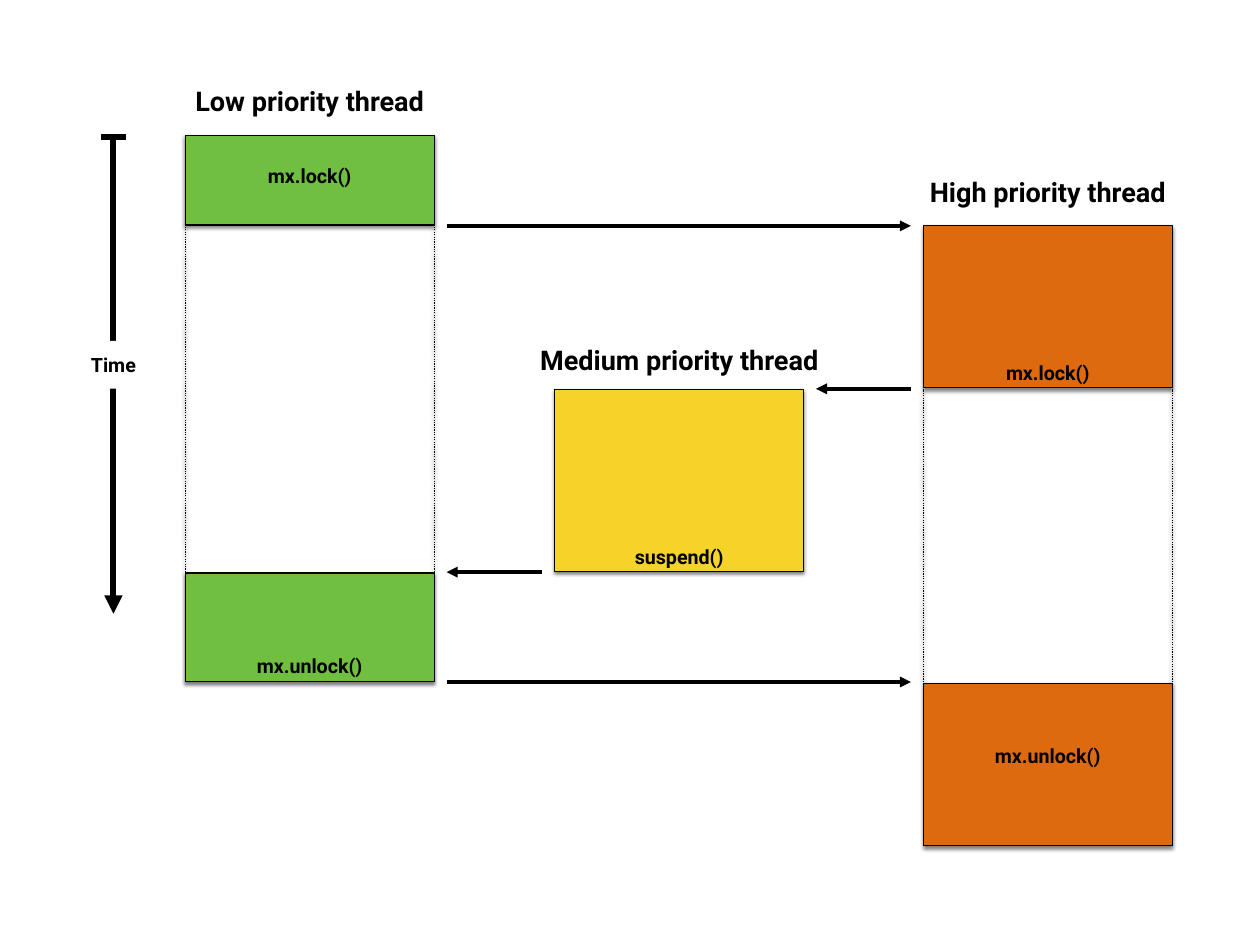
import pptx
import pptx.dml.color
import pptx.enum.dml
import pptx.enum.shapes
import pptx.enum.text
import pptx.oxml
import pptx.oxml.ns
import pptx.util
from pptx.util import Inches

COLORS = {"green": "70BF41", "orange": "DE6A10", "yellow": "F5D328",
          "black": "000000", "white": "FFFFFF"}
FONT = "Roboto"
LANE_W = 2.81
GAP = 0.14  # space between a lane and its arrows

# Threads: left edge, fill, title, title top, title width
LANES = {
    "low": (2.09, "green", "Low priority thread", 0.9, 3.09),
    "medium": (6.26, "yellow", "Medium priority thread", 3.83, 3.69),
    "high": (10.42, "orange", "High priority thread", 1.93, 3.09),
}
# Running periods: lane, top, height, call, call top
PERIODS = [
    ("medium", 4.4, 2.05, "suspend()", 6.09),
    ("high", 2.55, 1.83, "mx.lock()", 4.02),
    ("low", 6.47, 1.23, "mx.unlock()", 7.33),
    ("low", 1.53, 1.01, "mx.lock()", 1.79),
    ("high", 7.72, 1.83, "mx.unlock()", 8.34),
]
# Waiting periods: lane, top, bottom
WAITS = [("low", 2.54, 6.46), ("high", 4.39, 7.7)]
# Context switches: from lane, to lane, time
SWITCHES = [("low", "high", 2.55), ("low", "high", 7.7),
            ("medium", "low", 6.46), ("high", "medium", 4.39)]
# Time axis: centre, top, bottom, half width of the start bar
AXIS_X, AXIS_TOP, AXIS_BOTTOM, BAR = 1.28, 1.55, 6.93, 0.145

prs = pptx.Presentation()
prs.slide_width, prs.slide_height = Inches(14.22), Inches(10.67)
shapes = prs.slides.add_slide(prs.slide_layouts[6]).shapes


def rgb(name):
    return pptx.dml.color.RGBColor.from_string(COLORS[name])


def set_effects(sp, shadow):
    inner = ('<a:outerShdw blurRad="38100" dist="25400" dir="5400000" rotWithShape="0">'
             f'<a:srgbClr val="{COLORS["black"]}"><a:alpha val="50000"/></a:srgbClr>'
             '</a:outerShdw>') if shadow else ""
    ns = pptx.oxml.ns.nsdecls("a")
    sp._element.spPr.append(pptx.oxml.parse_xml(f"<a:effectLst {ns}>{inner}</a:effectLst>"))


def add_rect(x, y, w, h, fill, outlined=True):
    sp = shapes.add_shape(pptx.enum.shapes.MSO_SHAPE.RECTANGLE,
                          Inches(x), Inches(y), Inches(w), Inches(h))
    sp.fill.solid()
    sp.fill.fore_color.rgb = rgb(fill)
    if outlined:
        sp.line.color.rgb = rgb("black")
        sp.line.width = pptx.util.Pt(1)
    else:
        sp.line.fill.background()
    set_effects(sp, outlined)


def add_line(x1, y1, x2, y2, width, arrow=False, dashed=False):
    sp = shapes.add_connector(pptx.enum.shapes.MSO_CONNECTOR.STRAIGHT,
                              Inches(x1), Inches(y1), Inches(x2), Inches(y2))
    sp.line.color.rgb = rgb("black")
    sp.line.width = pptx.util.Pt(width)
    if dashed:
        sp.line.dash_style = pptx.enum.dml.MSO_LINE.ROUND_DOT
    if arrow:
        ns = pptx.oxml.ns.nsdecls("a")
        sp.line._get_or_add_ln().append(
            pptx.oxml.parse_xml(f'<a:tailEnd {ns} type="triangle"/>'))
    set_effects(sp, dashed)


def add_text(text, center, y, w=3.09, h=0.38, size=16):
    sp = shapes.add_textbox(Inches(center - w / 2), Inches(y), Inches(w), Inches(h))
    tf = sp.text_frame
    tf.word_wrap = True
    tf.vertical_anchor = pptx.enum.text.MSO_ANCHOR.MIDDLE
    tf.margin_left = tf.margin_right = tf.margin_top = tf.margin_bottom = Inches(0.06)
    p = tf.paragraphs[0]
    p.alignment = pptx.enum.text.PP_ALIGN.CENTER
    r = p.add_run()
    r.text = text
    r.font.name, r.font.size, r.font.bold = FONT, pptx.util.Pt(size), True
    r.font.color.rgb = rgb("black")


# Running periods with their calls
for lane, top, height, call, call_top in PERIODS:
    left, fill = LANES[lane][:2]
    add_rect(left, top, LANE_W, height, fill)
    add_text(call, left + LANE_W / 2, call_top)

# Thread titles
for left, fill, title, top, width in LANES.values():
    add_text(title, left + LANE_W / 2, top, w=width, h=0.47, size=22)

# Time axis
add_line(AXIS_X, AXIS_TOP, AXIS_X, AXIS_BOTTOM, 5, arrow=True)
add_rect(AXIS_X - 0.66, 3.85, 1.33, 0.54, "white", outlined=False)
add_text("Time", AXIS_X, 3.93, w=1.33)
add_line(AXIS_X - BAR, AXIS_TOP, AXIS_X + BAR, AXIS_TOP, 5)

# Context switches
for source, target, y in SWITCHES:
    x1, x2 = LANES[source][0], LANES[target][0]
    if x1 < x2:
        x1, x2 = x1 + LANE_W + GAP, x2 - GAP
    else:
        x1, x2 = x1 - GAP, x2 + LANE_W + GAP
    add_line(x1, y, x2, y, 3, arrow=True)

# Waiting periods
for lane, top, bottom in WAITS:
    left = LANES[lane][0]
    for x in (left, left + LANE_W):
        add_line(x, bottom, x, top, 1, dashed=True)

prs.save("out.pptx")
